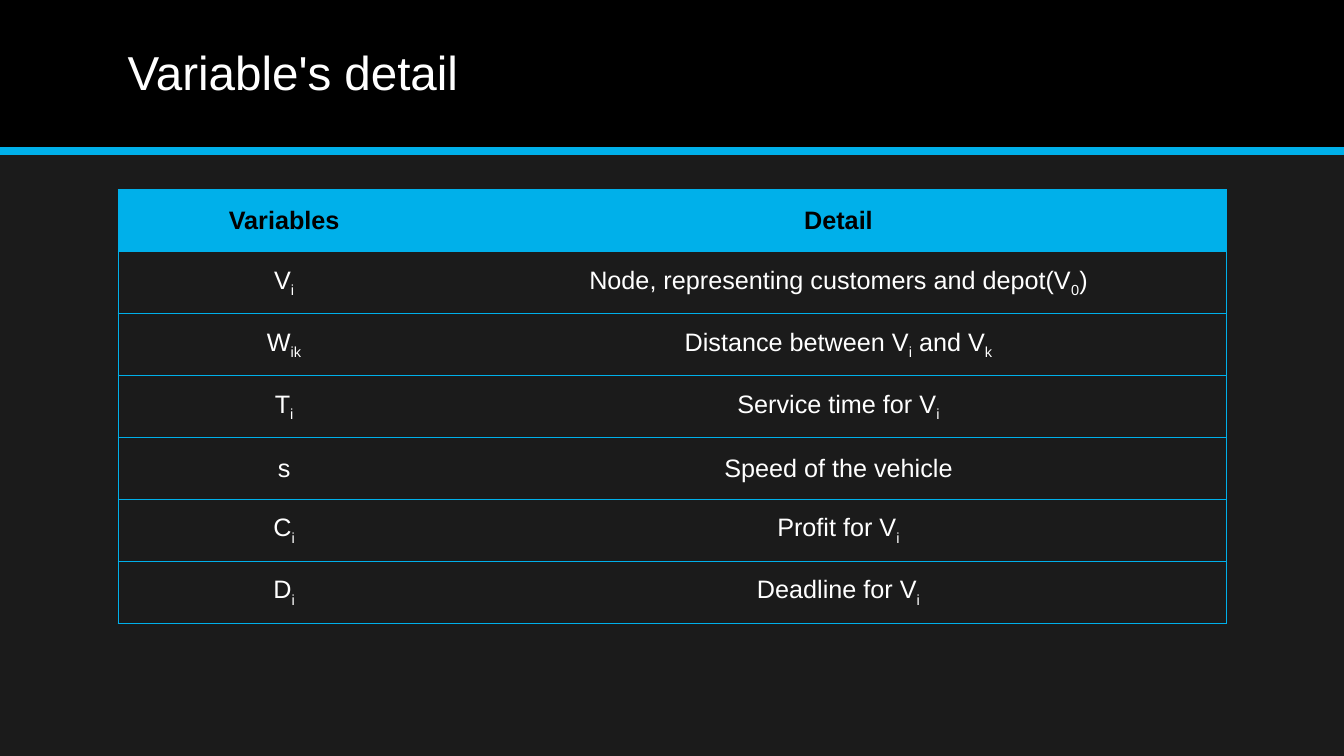
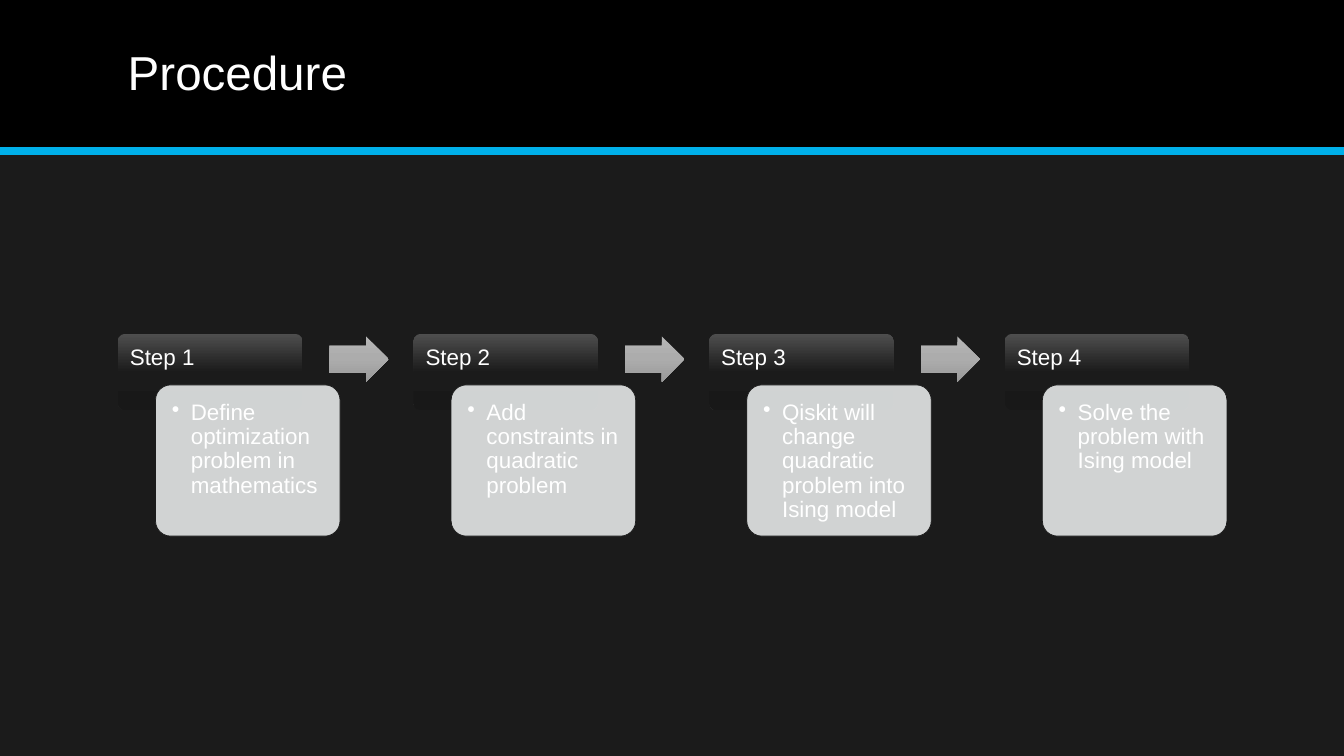
import pptx
import pptx.util
import pptx.dml.color
import pptx.enum.dml
import pptx.enum.shapes
import pptx.enum.text
import pptx.oxml
import copy

Cm, Pt = pptx.util.Cm, pptx.util.Pt
RGBColor = pptx.dml.color.RGBColor
KIND = pptx.enum.shapes.MSO_SHAPE
ALIGN = pptx.enum.text.PP_ALIGN
ANCHOR = pptx.enum.text.MSO_ANCHOR
NS = 'xmlns:a="http://schemas.openxmlformats.org/drawingml/2006/main"'

BLACK = RGBColor(0x00, 0x00, 0x00)
WHITE = RGBColor(0xFF, 0xFF, 0xFF)
BLUE = RGBColor(0x00, 0xB0, 0xEA)
DARK = RGBColor(0x1B, 0x1B, 0x1B)
PALE = RGBColor(0xE5, 0xE8, 0xE8)
HEAD = [RGBColor(0x4E, 0x4E, 0x4E), DARK, RGBColor(0x18, 0x18, 0x18)]
ARROW = [RGBColor(0xB5, 0xB5, 0xB5), RGBColor(0xAC, 0xAC, 0xAC), RGBColor(0x99, 0x99, 0x99)]

LEFT, WIDE = 2.97, 27.94


def write(par, text, size, color=WHITE, bold=False):
    """Fill a paragraph; parts between underscores become subscripts."""
    look = {"name": "Arial", "size": Pt(size), "bold": bold}
    for num, part in enumerate(text.split("_")):
        if part:
            run = par.add_run()
            run.text = part
            for key, val in look.items():
                setattr(run.font, key, val)
            run.font.color.rgb = color
            if num % 2:
                run.font._element.set("baseline", "-25000")


def shape(slide, kind, area, fill, adjs=()):
    """Add a shape with a plain colour or a list of top-down gradient colours."""
    item = slide.shapes.add_shape(kind, *[Cm(val) for val in area])
    item.shadow.inherit = False
    item.line.fill.background()
    for num, val in enumerate(adjs):
        item.adjustments[num] = val
    if isinstance(fill, list):
        item.fill.gradient()
        item.fill.gradient_angle = 270
        stops = item._element.xpath(".//a:gsLst")[0]
        stops.insert(1, copy.deepcopy(stops[0]))
        for num, stop in enumerate(item.fill.gradient_stops):
            stop.position = num / 2
            stop.color.rgb = fill[num]
    else:
        item.fill.solid()
        item.fill.fore_color.rgb = fill
    return item


deck = pptx.Presentation()
deck.slide_width, deck.slide_height = Cm(33.87), Cm(19.05)
back = deck.slide_master.background.fill
back.solid()
back.fore_color.rgb = DARK

# Shared band, rule and title
pages = []
for name in ["Variable's detail", "Procedure"]:
    page = deck.slides.add_slide(deck.slide_layouts[6])
    pages.append(page)
    shape(page, KIND.RECTANGLE, (0, 0, 33.87, 3.81), BLACK)
    rule = page.shapes.add_connector(
        pptx.enum.shapes.MSO_CONNECTOR.STRAIGHT, 0, Cm(3.81), Cm(33.87), Cm(3.81))
    rule.line.color.rgb = BLUE
    rule.line.width = Pt(6)
    rule._element.spPr.append(pptx.oxml.parse_xml(f"<a:effectLst {NS}/>"))
    frame = page.shapes.add_textbox(Cm(LEFT), Cm(0.36), Cm(WIDE), Cm(3.05)).text_frame
    frame.word_wrap = True
    frame.vertical_anchor = ANCHOR.MIDDLE
    frame.paragraphs[0].line_spacing = 0.9
    write(frame.paragraphs[0], name, 34)

# Table of variables
rows = [
    ("Variables", "Detail"),
    ("V_i_", "Node, representing customers and depot(V_0_)"),
    ("W_ik_", "Distance between V_i_ and V_k_"),
    ("T_i_", "Service time for V_i_"),
    ("s", "Speed of the vehicle"),
    ("C_i_", "Profit for V_i_"),
    ("D_i_", "Deadline for V_i_"),
]
high = 1.56
grid = pages[0].shapes.add_table(
    len(rows), 2, Cm(LEFT), Cm(4.78), Cm(WIDE), Cm(high * len(rows))).table
grid.horz_banding = False
# "No Style, No Grid"
grid._tbl.tblPr.xpath("a:tableStyleId")[0].text = "{2D5ABB26-0587-4C30-8999-92F81FD0307C}"
for col, wide in zip(grid.columns, (8.38, 19.56)):
    col.width = Cm(wide)
for top, row in enumerate(rows):
    grid.rows[top].height = Cm(high)
    for side, text in enumerate(row):
        cell = grid.cell(top, side)
        cell.vertical_anchor = ANCHOR.MIDDLE
        par = cell.text_frame.paragraphs[0]
        par.alignment = ALIGN.CENTER
        write(par, text, 18, WHITE if top else BLACK, not top)
        # Outer sides and row lines only
        for edge in ("RTB" if side else "LTB"):
            cell._tc.get_or_add_tcPr().append(pptx.oxml.parse_xml(
                f'<a:ln{edge} {NS} w="6350"><a:solidFill><a:srgbClr val="{BLUE}"/>'
                f'</a:solidFill></a:ln{edge}>'))
        if top:
            cell.fill.background()
        else:
            cell.fill.solid()
            cell.fill.fore_color.rgb = BLUE

# Steps of the procedure
steps = [
    "Define optimization problem in mathematics",
    "Add constraints in quadratic problem",
    "Qiskit will change quadratic problem into Ising model",
    "Solve the problem with Ising model",
]
for num, text in enumerate(steps):
    left = LEFT + 7.45 * num
    head = shape(pages[1], KIND.ROUNDED_RECTANGLE, (left, 8.41, 4.65, 1.93), HEAD, [0.1])
    card = shape(pages[1], KIND.ROUNDED_RECTANGLE, (left + 0.95, 9.7, 4.65, 3.81), PALE, [0.1])
    card.line.color.rgb = DARK
    card.line.width = Pt(0.5)
    card._element.xpath("./p:spPr/a:solidFill/a:srgbClr")[0].append(
        pptx.oxml.parse_xml(f'<a:alpha {NS} val="90000"/>'))

    for item, words, pad in ((head, f"Step {num + 1}", 0.25), (card, text, 0.3)):
        form = {"word_wrap": True, "vertical_anchor": ANCHOR.TOP, "margin_left": Cm(pad),
                "margin_right": Cm(pad), "margin_top": Cm(pad), "margin_bottom": Cm(pad)}
        for key, val in form.items():
            setattr(item.text_frame, key, val)
        par = item.text_frame.paragraphs[0]
        par.alignment = ALIGN.LEFT
        par.line_spacing = 0.9
        write(par, words, 16)

    # Bullet on the card text
    prop = card.text_frame.paragraphs[0]._p.get_or_add_pPr()
    prop.set("marL", str(Cm(0.48)))
    prop.set("indent", str(-Cm(0.48)))
    prop.append(pptx.oxml.parse_xml(f'<a:buChar {NS} char="•"/>'))

    if num < len(steps) - 1:
        shape(pages[1], KIND.RIGHT_ARROW, (left + 5.33, 8.48, 1.5, 1.14), ARROW, [0.6, 0.5])

deck.save("out.pptx")
